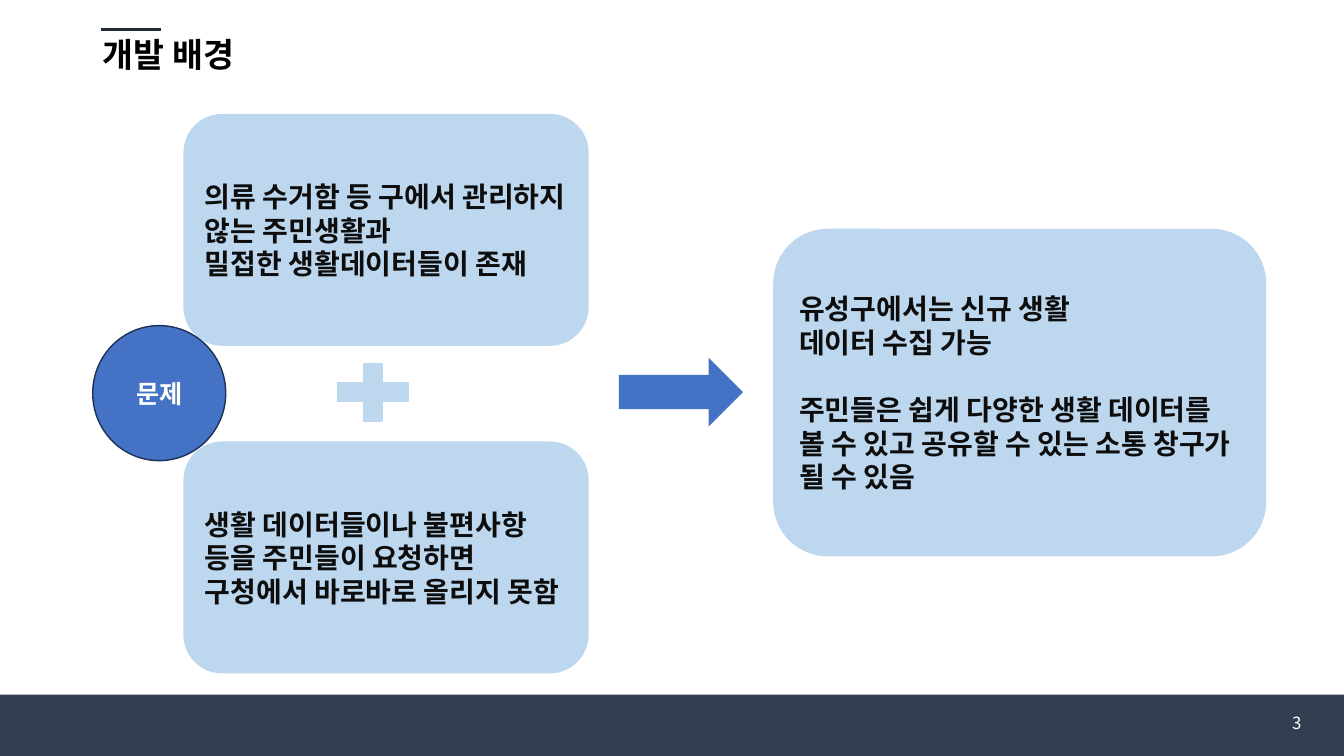
import pptx
import pptx.util
import pptx.dml.color
import pptx.enum.shapes
import pptx.enum.text
import pptx.oxml

RGB = pptx.dml.color.RGBColor
SHAPE = pptx.enum.shapes.MSO_SHAPE
ALIGN = pptx.enum.text.PP_ALIGN
Pt = pptx.util.Pt

TITLE = "개발 배경"
ISSUES = [
    ["의류 수거함 등 구에서 관리하지 않는 주민생활과", "밀접한 생활데이터들이 존재"],
    ["생활 데이터들이나 불편사항 등을 주민들이 요청하면", "구청에서 바로바로 올리지 못함"],
]
LABEL = "문제"
RESULT = [
    "유성구에서는 신규 생활",
    "데이터 수집 가능",
    "주민들은 쉽게 다양한 생활 데이터를 볼 수 있고 공유할 수 있는 소통 창구가 될 수 있음",
]
PAGE = "3"

NAVY = RGB(0x33, 0x3F, 0x50)
RULE = RGB(0x22, 0x2A, 0x35)
PALE = RGB(0xBD, 0xD7, 0xEE)
BLUE = RGB(0x44, 0x72, 0xC4)
EDGE = RGB(0x1E, 0x32, 0x56)
INK = RGB(0x0D, 0x0D, 0x0D)
BLACK = RGB(0, 0, 0)
WHITE = RGB(0xFF, 0xFF, 0xFF)
FONT = "Noto Sans CJK KR"

# Places are left, top, width, height in percent of the slide
FOOT = (0, 91.87, 100, 8.13)
BAR = (7.5, 3.87, 4.5, 0)
HEAD = (6.9, 3.73, 86.25, 7.47)
ISSUE = (13.65, 15.07, 30.15, 30.67)
STEP = 43.33
PLUS = (24.15, 46.67, 7.2, 10.4)
DISC = (6.9, 43.07, 9.9, 17.87)
ARROW = (46.05, 47.33, 9.23, 9.07)
GOAL = (57.53, 30.27, 36.68, 43.33)
NUMBER = (75.08, 92.93, 22.5, 5.33)

deck = pptx.Presentation()
deck.slide_width = pptx.util.Inches(13.33)
deck.slide_height = pptx.util.Inches(7.5)
slide = deck.slides.add_slide(deck.slide_layouts[5])


def scale(place):
    """Turn percent of the slide into lengths."""
    sides = (deck.slide_width, deck.slide_height) * 2
    return [int(part * side / 100) for part, side in zip(place, sides)]


def write(shape, lines, size=20, color=INK, bold=True, align=ALIGN.LEFT,
          font=FONT, gaps=None, pitch=None):
    """Fill a shape with text; gaps maps a line's index to the space above it."""
    frame = shape.text_frame
    frame.word_wrap = True
    frame.vertical_anchor = pptx.enum.text.MSO_ANCHOR.MIDDLE
    for i, line in enumerate(lines):
        para = frame.add_paragraph() if i else frame.paragraphs[0]
        para.alignment = align
        para.line_spacing = pitch
        para.space_before = Pt((gaps or {}).get(i, 0))
        run = para.add_run()
        run.text = line
        run.font.size = Pt(size)
        run.font.bold = bold
        run.font.name = font
        run.font.color.rgb = color
        east = pptx.oxml.parse_xml(
            '<a:ea xmlns:a="http://schemas.openxmlformats.org/drawingml/2006/main"'
            f' typeface="{FONT}"/>')
        run.font._element.find(pptx.oxml.ns.qn("a:latin")).addnext(east)


def draw(kind, place, fill, edge=None):
    shape = slide.shapes.add_shape(kind, *scale(place))
    shape.shadow.inherit = False
    shape.fill.solid()
    shape.fill.fore_color.rgb = fill
    if edge is None:
        shape.line.fill.background()
    else:
        shape.line.color.rgb = edge
        shape.line.width = Pt(1)
    return shape


draw(SHAPE.RECTANGLE, FOOT, NAVY)

left, top, width, height = scale(BAR)
bar = slide.shapes.add_connector(
    pptx.enum.shapes.MSO_CONNECTOR.STRAIGHT, left, top, left + width, top + height)
bar.line.color.rgb = RULE
bar.line.width = Pt(2.5)
bar._element.spPr.append(pptx.oxml.xmlchemy.OxmlElement("a:effectLst"))

title = slide.shapes.title
title.left, title.top, title.width, title.height = scale(HEAD)
write(title, [TITLE], size=24, color=BLACK, font="Lato", pitch=0.9)

left, top, width, height = ISSUE
for i, lines in enumerate(ISSUES):
    box = draw(SHAPE.ROUNDED_RECTANGLE, (left, top + i * STEP, width, height), PALE)
    write(box, lines)

draw(SHAPE.MATH_PLUS, PLUS, PALE, edge=PALE)
write(draw(SHAPE.OVAL, DISC, BLUE, edge=EDGE), [LABEL],
      size=18, color=WHITE, align=ALIGN.CENTER)
draw(SHAPE.RIGHT_ARROW, ARROW, BLUE)
write(draw(SHAPE.ROUNDED_RECTANGLE, GOAL, PALE), RESULT, gaps={2: 24})

page = slide.shapes.add_textbox(*scale(NUMBER))
write(page, [PAGE], size=12, color=WHITE, bold=False, align=ALIGN.RIGHT)

deck.save("out.pptx")
